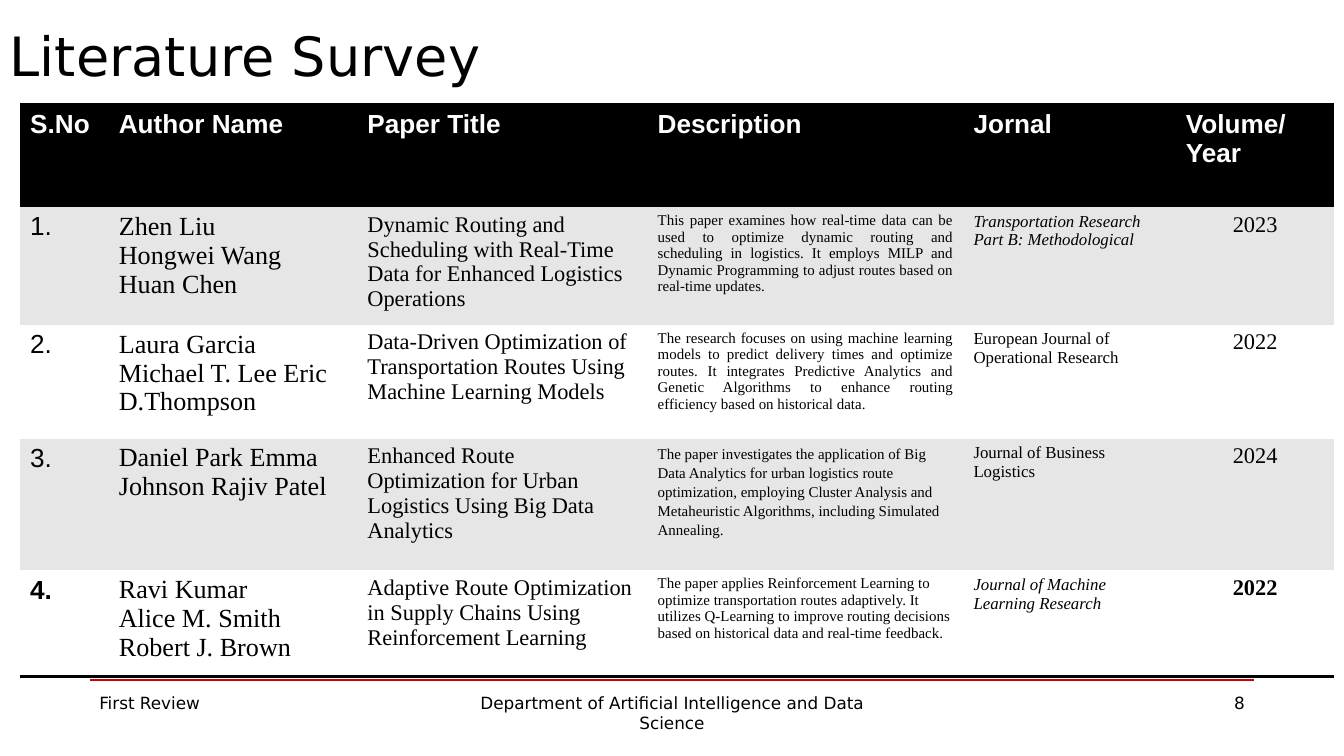
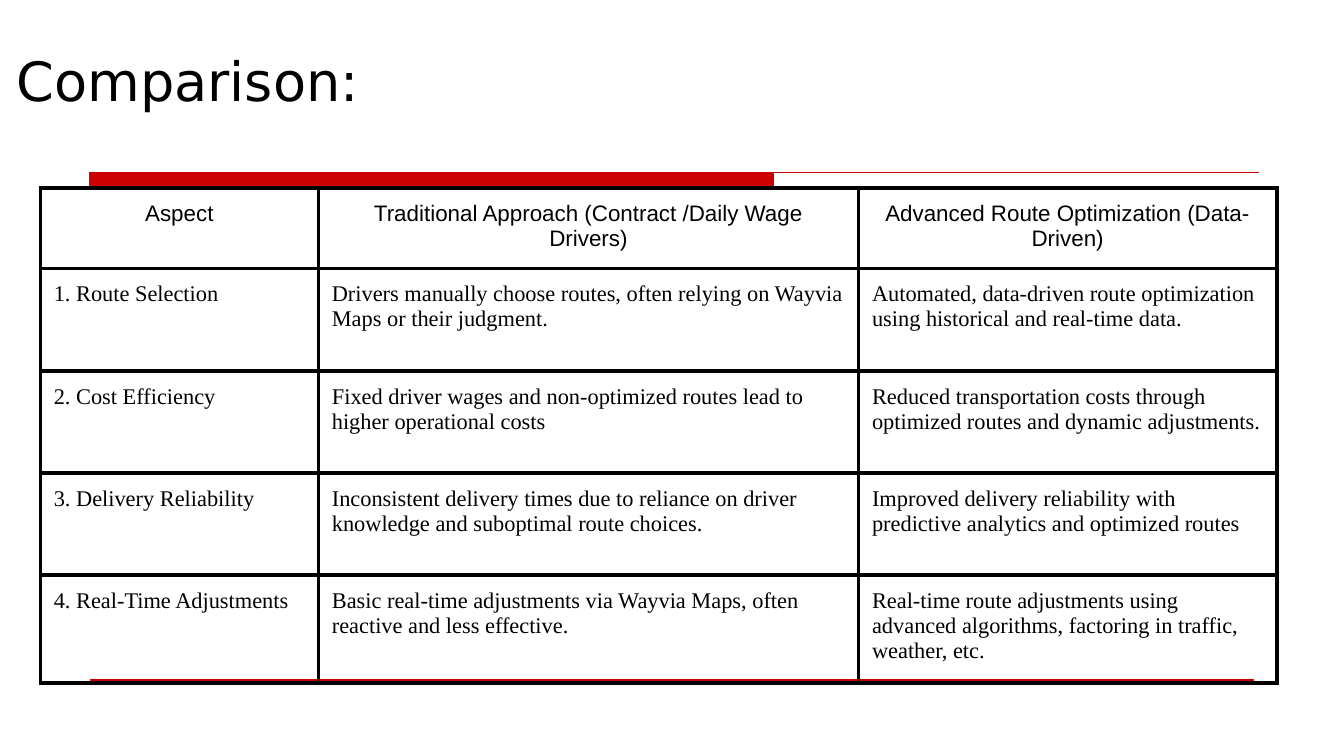
from dataclasses import dataclass

from lxml import etree
from pptx import Presentation
from pptx.dml.color import RGBColor
from pptx.enum import shapes, text
from pptx.oxml import ns
from pptx.util import Pt

LEFT, CENTER, RIGHT, JUSTIFY = (text.PP_ALIGN.LEFT, text.PP_ALIGN.CENTER,
                                text.PP_ALIGN.RIGHT, text.PP_ALIGN.JUSTIFY)


@dataclass(frozen=True)
class Theme:
    black: str = "000000"
    white: str = "FFFFFF"
    band: str = "E6E6E6"
    red: str = "CC0000"
    sans: str = "DejaVu Sans"
    head: str = "Arial"
    serif: str = "Times New Roman"
    title: float = 29
    large: float = 14
    body: float = 12
    small: float = 9
    tiny: float = 8


@dataclass(frozen=True)
class Style:
    font: str
    size: float
    color: str = Theme.black
    bold: bool = False
    italic: bool = False
    align: int = LEFT
    spacing: float = 1


# Content
SURVEY_TITLE = "Literature Survey"
SURVEY_HEAD = ["S.No", "Author Name", "Paper Title", "Description", "Jornal", "Volume/\nYear"]
SURVEY = [
    ["1.", "Zhen Liu\nHongwei Wang\nHuan Chen",
     "Dynamic Routing and Scheduling with Real-Time Data for Enhanced Logistics Operations",
     "This paper examines how real-time data can be used to optimize dynamic routing and "
     "scheduling in logistics. It employs MILP and Dynamic Programming to adjust routes "
     "based on real-time updates.",
     "Transportation Research Part B: Methodological", "2023"],
    ["2.", "Laura Garcia\nMichael T. Lee Eric D.Thompson",
     "Data-Driven Optimization of Transportation Routes Using Machine Learning Models",
     "The research focuses on using machine learning models to predict delivery times and "
     "optimize routes. It integrates Predictive Analytics and Genetic Algorithms to enhance "
     "routing efficiency based on historical data.",
     "European Journal of Operational Research", "2022"],
    ["3.", "Daniel Park Emma Johnson Rajiv Patel",
     "Enhanced Route Optimization for Urban Logistics Using Big Data Analytics",
     "The paper investigates the application of Big Data Analytics for urban logistics route "
     "optimization, employing Cluster Analysis and Metaheuristic Algorithms, including "
     "Simulated Annealing.",
     "Journal of Business Logistics", "2024"],
    ["4.", "Ravi Kumar\nAlice M. Smith Robert J. Brown",
     "Adaptive Route Optimization in Supply Chains Using Reinforcement Learning",
     "The paper applies Reinforcement Learning to optimize transportation routes adaptively. "
     "It utilizes Q-Learning to improve routing decisions based on historical data and "
     "real-time feedback.",
     "Journal of Machine Learning Research", "2022"],
]
COMPARISON_TITLE = "Comparison:"
COMPARISON = [
    ["Aspect", "Traditional Approach (Contract /Daily Wage Drivers)",
     "Advanced Route Optimization (Data-Driven)"],
    ["1. Route Selection",
     "Drivers manually choose routes, often relying on Wayvia Maps or their judgment.",
     "Automated, data-driven route optimization using historical and real-time data."],
    ["2. Cost Efficiency",
     "Fixed driver wages and non-optimized routes lead to higher operational costs",
     "Reduced transportation costs through optimized routes and dynamic adjustments."],
    ["3. Delivery Reliability",
     "Inconsistent delivery times due to reliance on driver knowledge and suboptimal "
     "route choices.",
     "Improved delivery reliability with predictive analytics and optimized routes"],
    ["4. Real-Time Adjustments",
     "Basic real-time adjustments via Wayvia Maps, often reactive and less effective.",
     "Real-time route adjustments using advanced algorithms, factoring in traffic, "
     "weather, etc."],
]
# Footer parts: text, left, width, alignment
FOOTER = [
    ("First Review", 48, 156, LEFT),
    ("Department of Artificial Intelligence and Data Science", 246, 228, CENTER),
    ("8", 516, 156, RIGHT),
]

# Layout, in points
MARGIN_LEFT, RULE_RIGHT = 48, 672
SURVEY_COLUMNS = [47.5, 133.2, 155.5, 169.2, 113.8, 85]
SURVEY_ROWS = [55, 61, 61, 70.6, 57]
COMPARISON_COLUMNS = [149, 289.4, 224]
COMPARISON_ROWS = [41] + [54.8] * 4


def rgb(value):
    return RGBColor.from_string(value)


def write(frame, content, style):
    """Fill a text frame, one paragraph for each line."""
    frame.word_wrap = True
    for index, line in enumerate(content.split("\n")):
        para = frame.paragraphs[0] if index == 0 else frame.add_paragraph()
        para.alignment = style.align
        para.line_spacing = style.spacing
        span = para.add_run()
        span.text = line
        span.font.name, span.font.size = style.font, Pt(style.size)
        span.font.bold, span.font.italic = style.bold, style.italic
        span.font.color.rgb = rgb(style.color)


def add_text(page, content, left, top, width, height, style, anchor=text.MSO_ANCHOR.TOP):
    box = page.shapes.add_textbox(Pt(left), Pt(top), Pt(width), Pt(height))
    frame = box.text_frame
    frame.margin_left = frame.margin_right = Pt(5.2)
    frame.margin_top = frame.margin_bottom = Pt(2.6)
    frame.vertical_anchor = anchor
    write(frame, content, style)


def add_rule(page, top, right):
    rule = page.shapes.add_connector(shapes.MSO_CONNECTOR.STRAIGHT,
                                     Pt(MARGIN_LEFT), Pt(top), Pt(right), Pt(top))
    rule.line.color.rgb = rgb(Theme.red)
    rule.line.width = Pt(0.75)
    etree.SubElement(rule._element.spPr, ns.qn("a:effectLst"))


def add_page(deck, title, left, top):
    """Blank page with the shared title style and bottom rule."""
    page = deck.slides.add_slide(deck.slide_layouts[6])
    add_rule(page, 364.4, RULE_RIGHT)
    add_text(page, title, left, top, 630, 72, Style(Theme.sans, Theme.title),
             text.MSO_ANCHOR.BOTTOM)
    return page


def add_title_band(page):
    top = 92.6
    bar = page.shapes.add_shape(shapes.MSO_SHAPE.RECTANGLE,
                                Pt(MARGIN_LEFT), Pt(top), Pt(366.5), Pt(6.5))
    bar.shadow.inherit = False
    bar.fill.solid()
    bar.fill.fore_color.rgb = rgb(Theme.red)
    bar.line.color.rgb = rgb(Theme.red)
    bar.line.width = Pt(0.75)
    add_rule(page, top, 674.6)


def set_borders(cell, sides, width):
    """Draw black borders on the sides named, and none on the others."""
    props = cell._tc.get_or_add_tcPr()
    for side in "LRTB":
        line = etree.SubElement(props, ns.qn(f"a:ln{side}"), w=str(Pt(width)))
        if side in sides:
            fill = etree.SubElement(line, ns.qn("a:solidFill"))
            etree.SubElement(fill, ns.qn("a:srgbClr"), val=Theme.black)
        else:
            etree.SubElement(line, ns.qn("a:noFill"))


def add_grid(page, rows, left, top, widths, heights, insets, border, look):
    """Add a table; look(row, column) gives style, fill and border sides."""
    table = page.shapes.add_table(len(rows), len(widths), Pt(left), Pt(top),
                                  Pt(sum(widths)), Pt(sum(heights))).table
    table.first_row = table.horz_banding = False
    plain = "{2D5ABB26-0587-4C30-8999-92F81FD0307C}"
    table._tbl.tblPr.find(ns.qn("a:tableStyleId")).text = plain
    for column, width in zip(table.columns, widths):
        column.width = Pt(width)
    for r, (row, height) in enumerate(zip(rows, heights)):
        table.rows[r].height = Pt(height)
        for c, content in enumerate(row):
            cell = table.cell(r, c)
            style, fill, sides = look(r, c)
            cell.margin_left = cell.margin_right = Pt(insets[0])
            cell.margin_top = cell.margin_bottom = Pt(insets[1])
            set_borders(cell, sides, border)
            if fill:
                cell.fill.solid()
                cell.fill.fore_color.rgb = rgb(fill)
            else:
                cell.fill.background()
            write(cell.text_frame, content, style)


def survey_look(row, column):
    if row == 0:
        return Style(Theme.head, Theme.large, Theme.white, bold=True), Theme.black, "TB"
    last = row == len(SURVEY)
    style = [
        Style(Theme.head, Theme.large, bold=last),
        Style(Theme.serif, Theme.large),
        Style(Theme.serif, Theme.body),
        Style(Theme.serif, Theme.tiny, align=JUSTIFY if row < 3 else LEFT,
              spacing=1.15 if row == 3 else 1),
        Style(Theme.serif, Theme.small, italic=row in (1, last and row)),
        Style(Theme.serif, Theme.body, bold=last, align=CENTER),
    ][column]
    return style, Theme.band if row % 2 else Theme.white, "B" if last else ""


def comparison_look(row, column):
    if row == 0:
        return Style(Theme.head, Theme.body, align=CENTER), None, "LRTB"
    return Style(Theme.serif, Theme.body), None, "LRTB"


def main():
    deck = Presentation()
    deck.slide_width, deck.slide_height = Pt(720), Pt(405)

    # Literature survey
    page = add_page(deck, SURVEY_TITLE, 0, -22.3)
    add_grid(page, [SURVEY_HEAD] + SURVEY, 10.8, 56, SURVEY_COLUMNS, SURVEY_ROWS,
             (5.4, 2.7), 2, survey_look)
    for content, left, width, align in FOOTER:
        add_text(page, content, left, 368.6, width, 28,
                 Style(Theme.sans, Theme.small, align=align))

    # Comparison
    page = add_page(deck, COMPARISON_TITLE, 3.6, -9.4)
    add_title_band(page)
    add_grid(page, COMPARISON, 21.6, 100.6, COMPARISON_COLUMNS, COMPARISON_ROWS,
             (7.2, 7.2), 2.25, comparison_look)

    deck.save("out.pptx")


if __name__ == "__main__":
    main()
